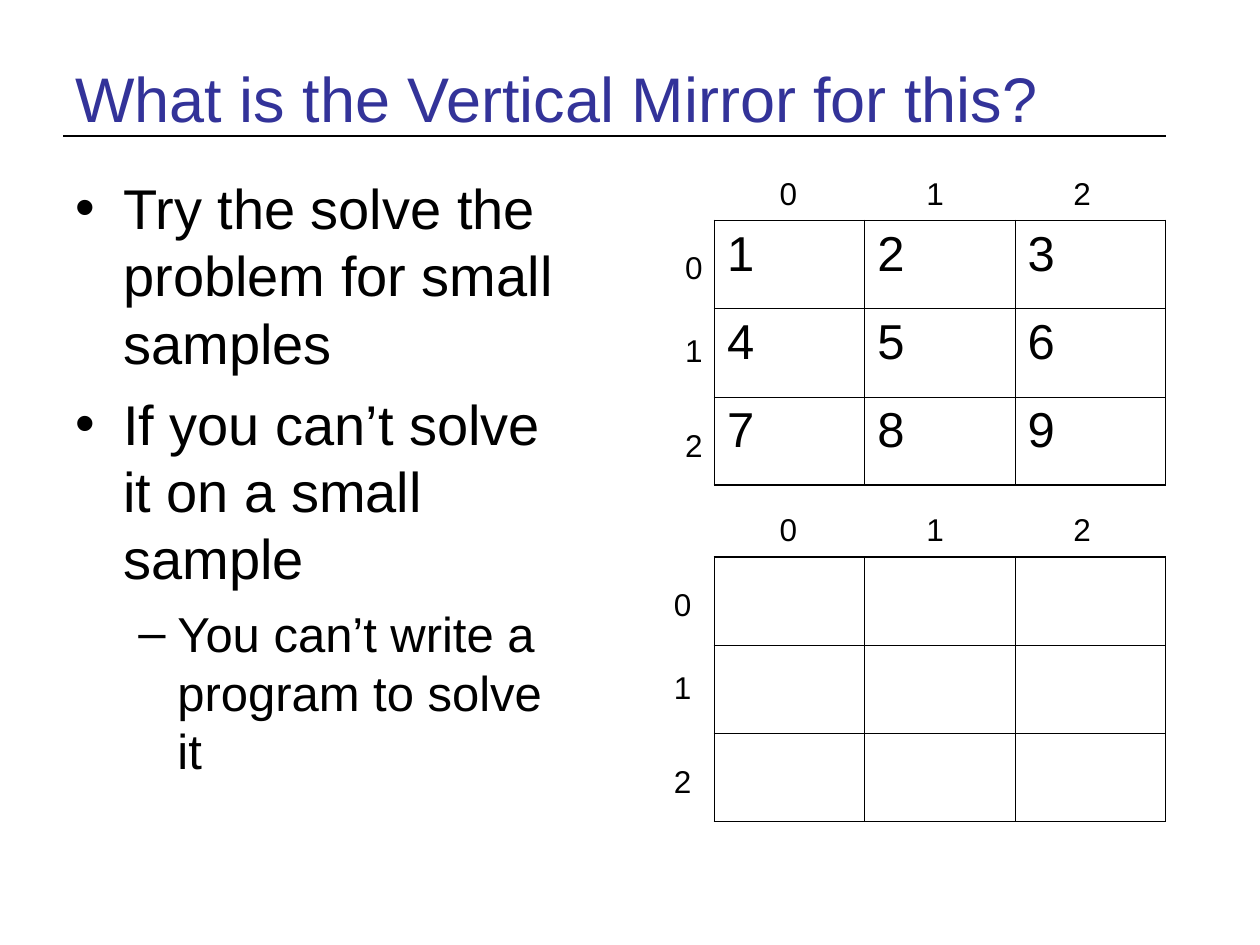
import pptx
import pptx.util
import pptx.dml.color
import pptx.enum.shapes
import pptx.enum.text
import pptx.oxml
import pptx.oxml.ns
from lxml import etree

Inches = pptx.util.Inches
Pt = pptx.util.Pt
RGBColor = pptx.dml.color.RGBColor
Anchor = pptx.enum.text.MSO_ANCHOR

BLACK = RGBColor(0x00, 0x00, 0x00)
NAVY = RGBColor(0x33, 0x33, 0x99)
THICK, THIN = Pt(1.08), Pt(0.45)


def add_tag(parent, tag, **attrs):
    node = etree.SubElement(parent, pptx.oxml.ns.qn(tag))
    for key, value in attrs.items():
        node.set(key, str(value))
    return node


class Board:
    font = "Arial"

    def __init__(self, slide):
        self.slide = slide

    def run(self, para, text, size, color=BLACK):
        run = para.add_run()
        run.text = text
        run.font.name = self.font
        run.font.size = Pt(size)
        run.font.color.rgb = color

    def frame(self, left, top, width, height, wrap=True):
        box = self.slide.shapes.add_textbox(
            Inches(left), Inches(top), Inches(width), Inches(height))
        box.text_frame.word_wrap = wrap
        return box.text_frame

    def title(self, text):
        frame = self.frame(0.5, 0.3, 9, 0.95)
        frame.vertical_anchor = Anchor.MIDDLE
        self.run(frame.paragraphs[0], text, 36, NAVY)

    def rule(self, left, right, top):
        line = self.slide.shapes.add_connector(
            pptx.enum.shapes.MSO_CONNECTOR.STRAIGHT,
            Inches(left), Inches(top), Inches(right), Inches(top))
        line.line.color.rgb = BLACK
        line.line.width = Pt(1.5)
        add_tag(line.element.spPr, "a:effectLst")

    def bullets(self, items):
        """Each item is a level and its text."""
        looks = [("•", 0.38, 0.38, 32, 8), ("–", 0.81, 0.31, 28, 7)]
        frame = self.frame(0.5, 1.33, 4.17, 5.37)
        for i, (level, text) in enumerate(items):
            mark, left, hang, size, gap = looks[level]
            para = frame.add_paragraph() if i else frame.paragraphs[0]
            para.level = level
            if i:
                para.space_before = Pt(gap)
            props = para._p.get_or_add_pPr()
            props.set("marL", str(Inches(left)))
            props.set("indent", str(-Inches(hang)))
            add_tag(add_tag(props, "a:buClr"), "a:srgbClr", val=BLACK)
            add_tag(props, "a:buFont", typeface=self.font)
            add_tag(props, "a:buChar", char=mark)
            self.run(para, text, size)

    def label(self, left, top, text):
        frame = self.frame(left, top, 0.34, 0.4, wrap=False)
        frame.auto_size = pptx.enum.text.MSO_AUTO_SIZE.SHAPE_TO_FIT_TEXT
        self.run(frame.paragraphs[0], text, 18)

    def edges(self, cell, row, col, last):
        """Draw thick borders on the outside of the grid, thin ones inside."""
        outer = {"L": col == 0, "R": col == last, "T": row == 0, "B": row == last}
        props = cell._tc.get_or_add_tcPr()
        for side, thick in outer.items():
            line = add_tag(props, f"a:ln{side}", w=THICK if thick else THIN)
            add_tag(add_tag(line, "a:solidFill"), "a:srgbClr", val=BLACK)
        cell.fill.background()

    def grid(self, top, side, values=None):
        """Place a 3 by 3 table with its column and row numbers."""
        count = 3
        table = self.slide.shapes.add_table(
            count, count, Inches(5.67), Inches(top), Inches(3.58), Inches(2.1)).table
        table.first_row = table.horz_banding = False
        for row in range(count):
            table.rows[row].height = Inches(0.7)
            for col in range(count):
                cell = table.cell(row, col)
                self.edges(cell, row, col, count - 1)
                para = cell.text_frame.paragraphs[0]
                if values:
                    self.run(para, str(values[row][col]), 28)
                else:
                    para.font.size = Pt(28)
        for i in range(count):
            self.label(6.09 + 1.165 * i, top - 0.42, str(i))
        for i, drop in enumerate((0.17, 0.83, 1.58)):
            self.label(side, top + drop, str(i))


def main():
    deck = pptx.Presentation()
    deck.slide_width, deck.slide_height = Inches(10), Inches(7.5)
    board = Board(deck.slides.add_slide(deck.slide_layouts[6]))
    board.rule(0.5, 9.25, 1.08)
    board.title("What is the Vertical Mirror for this?")
    board.bullets([
        (0, "Try the solve the problem for small samples"),
        (0, "If you can’t solve it on a small sample"),
        (1, "You can’t write a program to solve it"),
    ])
    board.grid(1.75, 5.34, [(1, 2, 3), (4, 5, 6), (7, 8, 9)])
    board.grid(4.42, 5.25)
    deck.save("out.pptx")


if __name__ == "__main__":
    main()
